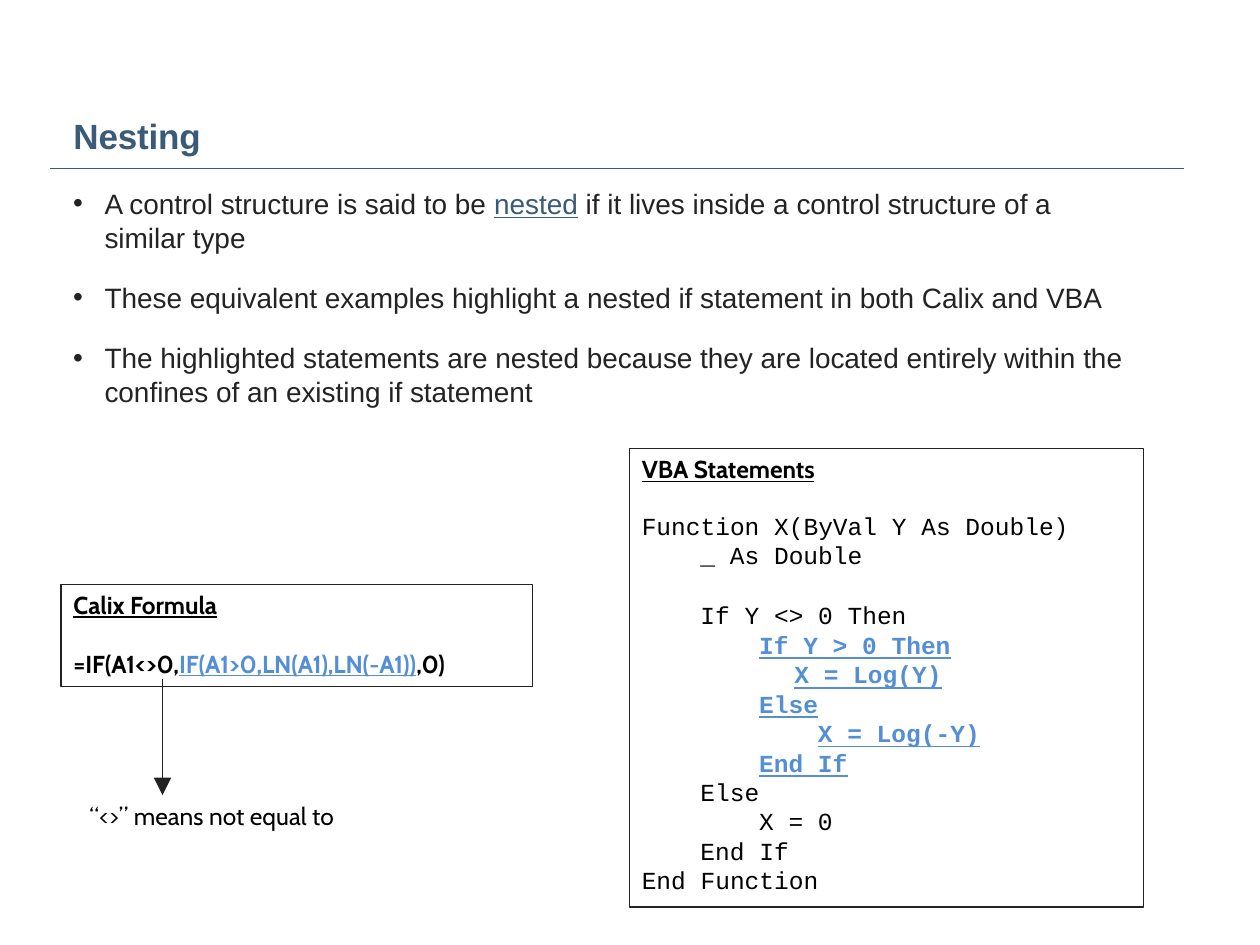
from dataclasses import dataclass
from lxml.etree import SubElement
from pptx import Presentation
from pptx.dml.color import RGBColor
from pptx.enum.shapes import MSO_CONNECTOR as Connector, MSO_SHAPE as Shape
from pptx.enum.text import MSO_ANCHOR as Anchor, PP_ALIGN as Align
from pptx.oxml.ns import qn
from pptx.util import Inches, Pt

COLUMNS, ROWS, CELL = 100, 75, 0.1
NAVY, INK, BLACK, SKY = "395A78", "232323", "000000", "548ED4"
BODY, LABEL, CODE = "Arial", "Cabin", "Courier New"
INDENT_STEP = 4.66


@dataclass(frozen=True)
class Area:
    """A rectangle in grid columns and rows."""
    left: float
    top: float
    width: float
    height: float


@dataclass(frozen=True)
class Span:
    """A stretch of text, underlined when it is highlighted."""
    text: str
    color: str = BLACK
    underline: bool = False


@dataclass(frozen=True)
class Line:
    """One paragraph with indent in steps, space before and tracking in points."""
    spans: tuple[Span, ...]
    face: str = LABEL
    size: float = 14
    bold: bool = False
    step: float = 0
    before: float = 0
    tracking: float = 0


def grid(cells: float) -> int:
    """Convert grid cells to a length."""
    return Inches(cells * CELL)


def rgb(value: str) -> RGBColor:
    """Turn a hex string into a colour."""
    return RGBColor.from_string(value)


def place(area: Area) -> tuple[int, ...]:
    """Convert an area to left, top, width and height."""
    return tuple(grid(n) for n in (area.left, area.top, area.width, area.height))


def prepare(frame, left: float = 0, top: float = 0.1) -> None:
    """Set wrapping, anchor and margins of a text frame."""
    frame.word_wrap = True
    frame.vertical_anchor = Anchor.TOP
    frame.margin_left, frame.margin_top = grid(left), grid(top)
    frame.margin_right = frame.margin_bottom = 0


def set_indent(paragraph, left: float, hanging: float = 0, bullet: str = "") -> None:
    """Indent a paragraph by grid columns, with an optional bullet."""
    props = paragraph._p.get_or_add_pPr()
    props.set("marL", str(grid(left)))
    props.set("indent", str(-grid(hanging)))
    if bullet:
        SubElement(props, qn("a:buFont"), typeface=BODY)
        SubElement(props, qn("a:buChar"), char=bullet)


def write(frame, lines: list[Line], hanging: float = 0, bullet: str = "") -> None:
    """Fill a text frame with lines."""
    for index, line in enumerate(lines):
        paragraph = frame.add_paragraph() if index else frame.paragraphs[0]
        set_indent(paragraph, hanging + line.step * INDENT_STEP, hanging, bullet)
        paragraph.alignment = Align.LEFT
        paragraph.line_spacing = 1.0
        paragraph.space_before = Pt(line.before)
        font = paragraph.font
        font.name, font.size, font.bold = line.face, Pt(line.size), line.bold
        for span in line.spans:
            run = paragraph.add_run()
            run.text = span.text
            run.font.color.rgb = rgb(span.color)
            if span.underline:
                run.font.underline = True
            if line.tracking:
                run._r.get_or_add_rPr().set("spc", str(round(line.tracking * 100)))


def add_text(slide, area: Area, lines: list[Line], **style) -> None:
    """Add a plain text box."""
    frame = slide.shapes.add_textbox(*place(area)).text_frame
    prepare(frame)
    write(frame, lines, **style)


def add_panel(slide, area: Area, heading: str, lines: list[Line], top: float) -> None:
    """Add an outlined panel with an underlined heading."""
    panel = slide.shapes.add_shape(Shape.RECTANGLE, *place(area))
    panel.shadow.inherit = False
    panel.fill.background()
    panel.line.color.rgb, panel.line.width = rgb(INK), Pt(0.72)
    prepare(panel.text_frame, left=1, top=top)
    title = Line((Span(heading, underline=True),), bold=True, tracking=-0.05)
    write(panel.text_frame, [title, *lines])


def add_line(slide, start: tuple[float, float], end: tuple[float, float],
             color: str, width: float, arrow: bool = False) -> None:
    """Draw a straight line between two grid points."""
    ends = (grid(n) for n in (*start, *end))
    line = slide.shapes.add_connector(Connector.STRAIGHT, *ends)
    line.line.color.rgb, line.line.width = rgb(color), Pt(width)
    if arrow:
        SubElement(line.line._get_or_add_ln(), qn("a:tailEnd"), type="triangle", w="lg", len="lg")
    SubElement(line._element.spPr, qn("a:effectLst"))


def code(text: str, step: float = 0, nested: bool = False, before: float = 0) -> Line:
    """Describe a code line, highlighted when it is nested."""
    span = Span(text, SKY if nested else BLACK, nested)
    return Line((span,), CODE, bold=nested, step=step, before=before)


def point(*spans: Span, before: float = 15.3) -> Line:
    """Describe a bullet point."""
    return Line(spans, BODY, 16, before=before)


POINTS = [
    point(Span("A control structure is said to be ", INK), Span("nested", NAVY, True),
          Span(" if it lives inside a control structure of a similar type", INK), before=0),
    point(Span("These equivalent examples highlight a nested if statement in both Calix and VBA", INK)),
    point(Span("The highlighted statements are nested because they are located entirely within "
               "the confines of an existing if statement", INK)),
]
FORMULA = Line((Span("=IF(A1<>0,"), Span("IF(A1>0,LN(A1),LN(-A1))", SKY, True), Span(",0)")),
               bold=True, before=16.8, tracking=-0.1)
FUNCTION = [
    code("Function X(ByVal Y As Double)", before=15.6),
    code("_ As Double", 1),
    code("If Y <> 0 Then", 1, before=17.6),
    code("If Y > 0 Then", 2, True),
    code("X = Log(Y)", 2.6, True),
    code("Else", 2, True),
    code("X = Log(-Y)", 3, True),
    code("End If", 2, True),
    code("Else", 1),
    code("X = 0", 2),
    code("End If", 1),
    code("End Function"),
]


def main() -> None:
    """Build and save the slide."""
    deck = Presentation()
    deck.slide_width, deck.slide_height = grid(COLUMNS), grid(ROWS)
    slide = deck.slides.add_slide(deck.slide_layouts[5])
    title = slide.shapes.title
    title.left, title.top, title.width, title.height = place(Area(3.7, 8.1, 90.5, 5.2))
    prepare(title.text_frame, left=2.13, top=1)
    write(title.text_frame, [Line((Span("Nesting", NAVY),), BODY, 20, True, tracking=-0.1)])
    add_line(slide, (4, 13.35), (94, 13.35), NAVY, 0.5)
    add_text(slide, Area(5.8, 14.7, 83.7, 17.9), POINTS, hanging=2.5, bullet="•")
    add_panel(slide, Area(4.85, 46.4, 37.4, 8.1), "Calix Formula", [FORMULA], top=0.4)
    add_panel(slide, Area(49.95, 35.6, 40.8, 36.4), "VBA Statements", FUNCTION, top=0.45)
    add_line(slide, (12.9, 53.9), (12.9, 63.1), "222222", 1, arrow=True)
    add_text(slide, Area(7.1, 63.45, 21.8, 2.6), [Line((Span("“<>” means not equal to"),))])
    deck.save("out.pptx")


if __name__ == "__main__":
    main()
